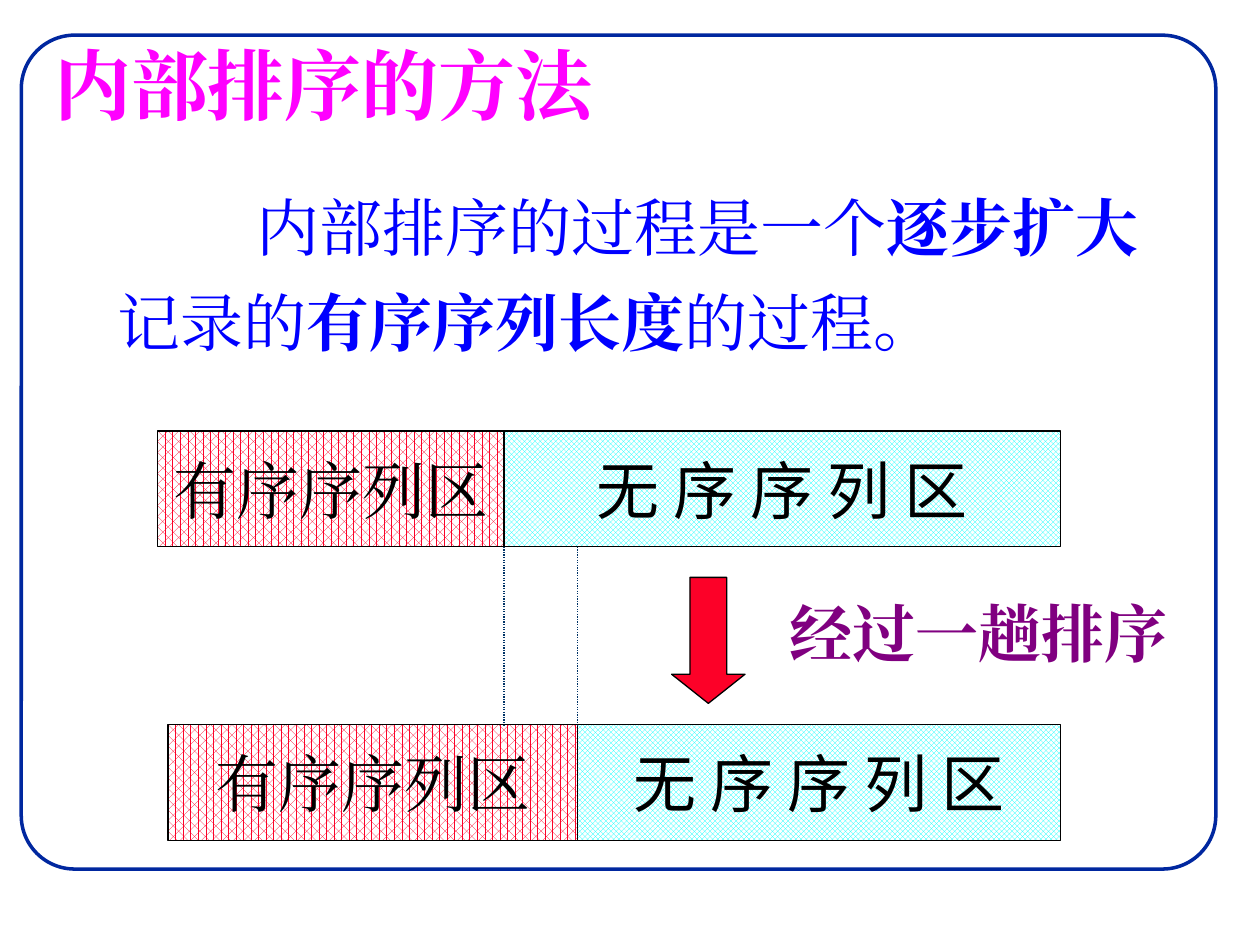
from lxml import etree
from pptx import Presentation
from pptx.dml.color import RGBColor
from pptx.enum.dml import MSO_LINE, MSO_PATTERN
from pptx.enum.shapes import MSO_CONNECTOR, MSO_SHAPE
from pptx.enum.text import MSO_ANCHOR, PP_ALIGN
from pptx.oxml.ns import qn
from pptx.util import Cm, Pt

RECTANGLE = MSO_SHAPE.RECTANGLE
ROUNDED_RECTANGLE = MSO_SHAPE.ROUNDED_RECTANGLE
DOWN_ARROW = MSO_SHAPE.DOWN_ARROW
STRAIGHT = MSO_CONNECTOR.STRAIGHT
DOTTED = MSO_LINE.ROUND_DOT
PERCENT_60 = MSO_PATTERN.PERCENT_60
TRELLIS = MSO_PATTERN.TRELLIS
MIDDLE = MSO_ANCHOR.MIDDLE
CENTER = PP_ALIGN.CENTER

SERIF = "Times New Roman"
SANS = "Noto Sans CJK SC"
BLACK, WHITE, RED, CYAN = "000000", "FFFFFF", "FC0128", "00FFFF"
NAVY, SLATE, MAGENTA, BLUE, PURPLE = "00279F", "003366", "FF00FF", "0000FF", "800080"

ROW_HEIGHT = 2.33
ROW_RIGHT = 21.38
ROWS = [(3.18, 8.69, 10.16), (3.39, 14.61, 11.64)]


def color(hex_string):
    """Turn a hex string into a colour."""
    return RGBColor.from_string(hex_string)


def add_run(paragraph, text, size, hex_string, bold=False, font_name=SERIF):
    """Append one run, with the same font for Latin and East Asian text."""
    run = paragraph.add_run()
    run.text = text
    run.font.size = Pt(size)
    run.font.bold = bold
    run.font.name = font_name
    run.font.color.rgb = color(hex_string)
    east_asian = etree.SubElement(run.font._element, qn("a:ea"))
    east_asian.set("typeface", font_name)


def add_outlined_shape(slide, kind, box, line_color, line_width):
    """Add a shadowless shape with an outline; box is in centimetres."""
    shape = slide.shapes.add_shape(kind, *map(Cm, box))
    shape.shadow.inherit = False
    shape.line.color.rgb = color(line_color)
    shape.line.width = Pt(line_width)
    return shape


def add_text_box(slide, box, wrap=True):
    """Add an empty text box and return its text frame."""
    text_frame = slide.shapes.add_textbox(*map(Cm, box)).text_frame
    text_frame.word_wrap = wrap
    return text_frame


def add_frame(slide, box):
    """Draw the rounded border of the slide."""
    frame = add_outlined_shape(slide, ROUNDED_RECTANGLE, box, NAVY, 2)
    frame.adjustments[0] = 0.064
    frame.fill.background()


def add_label(slide, box, text, size, hex_string, wrap=True):
    """Write one bold line of text."""
    text_frame = add_text_box(slide, box, wrap)
    add_run(text_frame.paragraphs[0], text, size, hex_string, bold=True)


def add_statement(slide, box):
    """Write the two-line definition with its key words in bold."""
    lines = [
        [("内部排序的过程是一个", False), ("逐步扩大", True)],
        [("记录的", False), ("有序序列长度", True), ("的过程。", False)],
    ]
    text_frame = add_text_box(slide, box)
    text_frame.margin_top = Cm(0.3)
    first = text_frame.paragraphs[0]
    first._p.get_or_add_pPr().set("indent", str(Cm(2.82)))
    for paragraph, runs in zip([first, text_frame.add_paragraph()], lines):
        paragraph.line_spacing = 1.25
        for text, bold in runs:
            add_run(paragraph, text, 36, BLUE, bold)


def add_zone(slide, box, text, pattern, hex_string, font_name):
    """Draw one patterned part of a sequence with its caption."""
    zone = add_outlined_shape(slide, RECTANGLE, box, BLACK, 0.75)
    zone.fill.patterned()
    zone.fill.pattern = pattern
    zone.fill.fore_color.rgb = color(hex_string)
    zone.fill.back_color.rgb = color(WHITE)
    text_frame = zone.text_frame
    text_frame.word_wrap = False
    text_frame.vertical_anchor = MIDDLE
    paragraph = text_frame.paragraphs[0]
    paragraph.alignment = CENTER
    add_run(paragraph, text, 36, BLACK, font_name=font_name)


def add_sequence(slide, box, split):
    """Draw a sequence whose ordered and unordered zones meet at split."""
    left, top, width, height = box
    right = left + width
    add_zone(slide, (left, top, split - left, height), "有序序列区", PERCENT_60, RED, SERIF)
    add_zone(slide, (split, top, right - split, height), "无 序 序 列 区", TRELLIS, CYAN, SANS)


def add_arrow(slide, box):
    """Draw the red arrow between the two sequences."""
    arrow = add_outlined_shape(slide, DOWN_ARROW, box, BLACK, 0.75)
    arrow.adjustments[0] = 0.5
    arrow.adjustments[1] = 0.396
    arrow.fill.solid()
    arrow.fill.fore_color.rgb = color(RED)


def add_guide(slide, x, top, bottom):
    """Draw a dotted vertical guide."""
    guide = slide.shapes.add_connector(STRAIGHT, Cm(x), Cm(top), Cm(x), Cm(bottom))
    guide.line.color.rgb = color(SLATE)
    guide.line.width = Pt(0.75)
    guide.line.dash_style = DOTTED
    etree.SubElement(guide._element.spPr, qn("a:effectLst"))


def main():
    """Build the slide and save it."""
    presentation = Presentation()
    presentation.slide_width = Cm(25.4)
    presentation.slide_height = Cm(19.05)
    slide = presentation.slides.add_slide(presentation.slide_layouts[6])
    add_frame(slide, (0.43, 0.71, 24.08, 16.81))
    add_label(slide, (0.84, 0.64, 11.51, 2.13), "内部排序的方法", 44, MAGENTA, wrap=False)
    add_statement(slide, (2.11, 3.12, 21.79, 4.29))
    add_label(slide, (15.67, 11.86, 9.73, 1.78), "经过一趟排序", 36, PURPLE)
    for left, top, split in ROWS:
        add_sequence(slide, (left, top, ROW_RIGHT - left, ROW_HEIGHT), split)
    add_arrow(slide, (13.54, 11.64, 1.48, 2.54))
    (_, upper_top, _), (_, lower_top, _) = ROWS
    for _, _, split in ROWS:
        add_guide(slide, split, upper_top + ROW_HEIGHT, lower_top)
    presentation.save("out.pptx")


if __name__ == "__main__":
    main()
